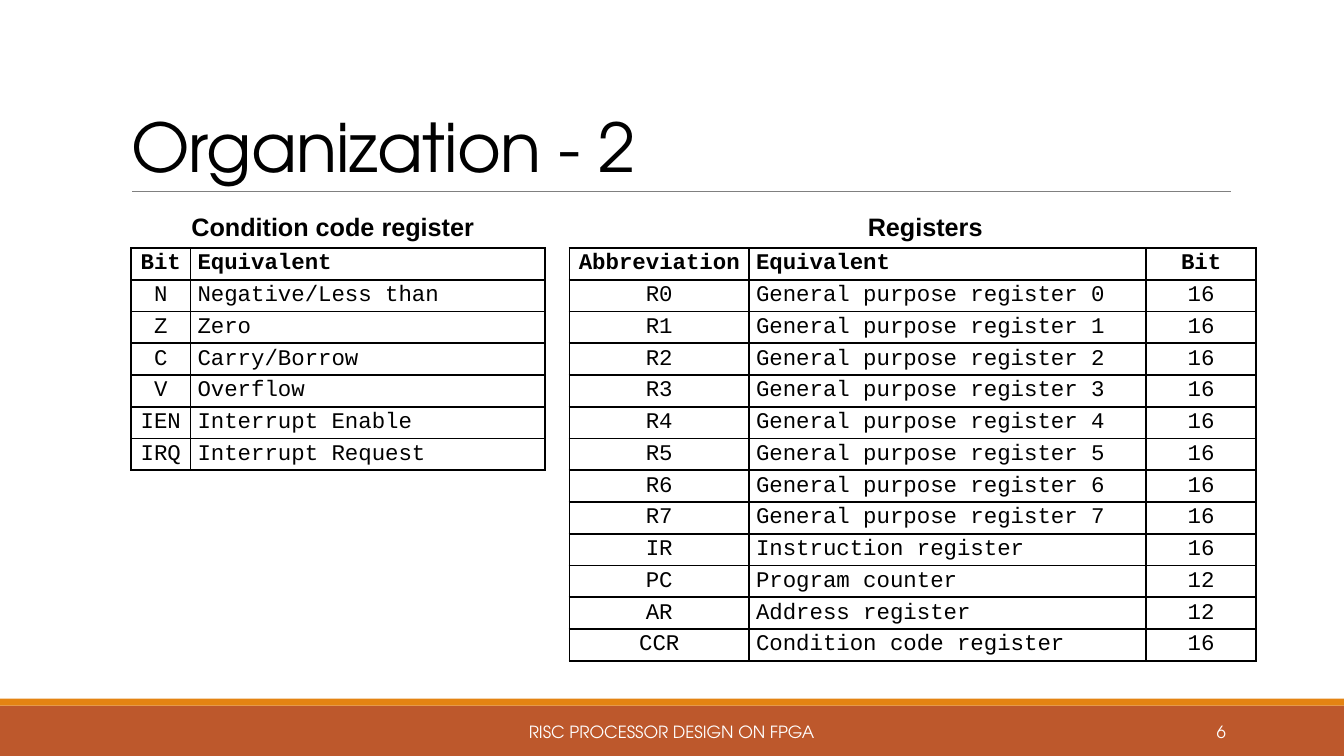
from pptx import Presentation
from pptx import util as u
from pptx.dml.color import RGBColor
from pptx.enum import shapes, text
from pptx.oxml import parse_xml
from pptx.oxml.ns import nsdecls

BLACK = RGBColor(0, 0, 0)
WHITE = RGBColor(255, 255, 255)
GRAY = RGBColor(0x80, 0x80, 0x80)
RUST = RGBColor(0xBD, 0x58, 0x2C)
AMBER = RGBColor(0xE4, 0x83, 0x12)
SANS = "TeX Gyre Adventor"
MONO = "Courier New"
LEFT, MID, RIGHT, JUST = (text.PP_ALIGN.LEFT, text.PP_ALIGN.CENTER,
                          text.PP_ALIGN.RIGHT, text.PP_ALIGN.JUSTIFY)

deck = Presentation()
deck.slide_width, deck.slide_height = u.Inches(13.33), u.Inches(7.5)
slide = deck.slides.add_slide(deck.slide_layouts[5])
items = slide.shapes


def area(x, y, wide, high):
    col, row = deck.slide_width / 100, deck.slide_height / 100
    return [round(n) for n in (x * col, y * row, wide * col, high * row)]


def write(frame, words, size=16, face=MONO, color=BLACK, bold=False,
          align=LEFT, anchor=text.MSO_ANCHOR.MIDDLE, wrap=True, lead=1, after=0):
    frame.word_wrap = wrap
    frame.vertical_anchor = anchor
    para = frame.paragraphs[0]
    para.alignment, para.line_spacing = align, lead
    para.space_after = u.Pt(after)
    run = para.add_run()
    run.text = words
    font = run.font
    font.size, font.name, font.bold = u.Pt(size), face, bold
    font.color.rgb = color
    return run


for top, high, color in [(93.33, 6.67, RUST), (92.4, 0.93, AMBER)]:
    bar = items.add_shape(shapes.MSO_SHAPE.RECTANGLE, *area(0, top, 100, high))
    bar.shadow.inherit = False
    bar.fill.solid()
    bar.fill.fore_color.rgb = color
    bar.line.fill.background()

start, level, end, _ = area(9.83, 25.33, 91.58, 0)
rule = items.add_connector(shapes.MSO_CONNECTOR.STRAIGHT, start, level, end, level)
rule.line.color.rgb = GRAY
rule.line.width = u.Pt(0.5)
rule._element.spPr.append(parse_xml(f"<a:effectLst {nsdecls('a')}/>"))

title = items.title
title.left, title.top, title.width, title.height = area(9, 4.13, 82.5, 21.2)
run = write(title.text_frame, "Organization - 2", size=48, face=SANS,
            anchor=text.MSO_ANCHOR.BOTTOM, lead=0.85)
run.font._element.set("spc", "-50")
title.text_frame.auto_size = text.MSO_AUTO_SIZE.NONE

for left, wide, words, align in [
    (30.22, 39.53, "RISC PROCESSOR DESIGN ON FPGA", MID),
    (81.22, 10.73, "6", RIGHT),
]:
    box = items.add_textbox(*area(left, 94.13, wide, 5.33))
    write(box.text_frame, words, size=12, face=SANS, color=WHITE, align=align)

flags = [("Bit", "Equivalent"), ("N", "Negative/Less than"), ("Z", "Zero"),
         ("C", "Carry/Borrow"), ("V", "Overflow"),
         ("IEN", "Interrupt Enable"), ("IRQ", "Interrupt Request")]
regs = [("Abbreviation", "Equivalent", "Bit"),
        *[(f"R{n}", f"General purpose register {n}", "16") for n in range(8)],
        ("IR", "Instruction register", "16"),
        ("PC", "Program counter", "12"),
        ("AR", "Address register", "12"),
        ("CCR", "Condition code register", "16")]

for name, spot, wide, left, cols, rows in [
    ("Condition code register", 13.5, 22.73, 9.75, [4.43, 26.4], flags),
    ("Registers", 63.83, 10.13, 42.38, [13.35, 29.55, 8.18], regs),
]:
    head = items.add_textbox(*area(spot, 27.07, wide, 5.6))
    write(head.text_frame, name, size=18, face="Arial", bold=True, align=JUST,
          anchor=text.MSO_ANCHOR.TOP, wrap=False, lead=1.05, after=8)
    head.text_frame.auto_size = text.MSO_AUTO_SIZE.SHAPE_TO_FIT_TEXT

    place = area(left, 32.8, sum(cols), 4.2 * len(rows))
    grid = items.add_table(len(rows), len(cols), *place).table
    grid.first_row = grid.horz_banding = False
    for c, share in enumerate(cols):
        grid.columns[c].width = area(0, 0, share, 0)[2]
    for r, row in enumerate(rows):
        grid.rows[r].height = area(0, 0, 0, 4.2)[3]
        for c, words in enumerate(row):
            cell = grid.cell(r, c)
            cell.margin_left = cell.margin_right = u.Inches(0.07)
            cell.margin_top = cell.margin_bottom = 0
            cell.vertical_anchor = text.MSO_ANCHOR.MIDDLE
            write(cell.text_frame, words, bold=r == 0, align=LEFT if c == 1 else MID)
            for side in "LRTB":
                cell._tc.get_or_add_tcPr().append(parse_xml(
                    f'<a:ln{side} {nsdecls("a")} w="{u.Pt(1.5)}"><a:solidFill>'
                    f'<a:srgbClr val="{BLACK}"/></a:solidFill></a:ln{side}>'))
            cell.fill.background()

deck.save("out.pptx")
